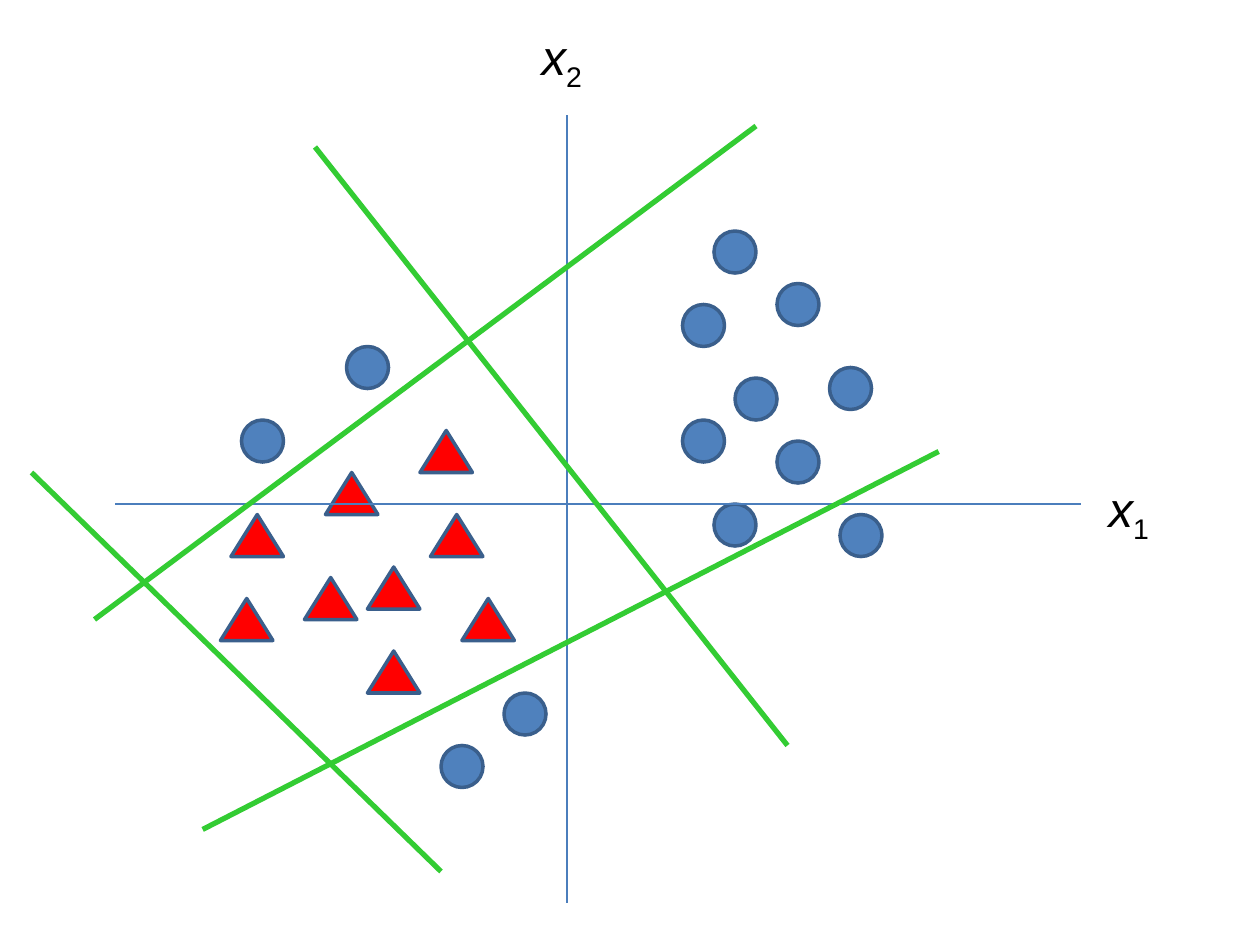
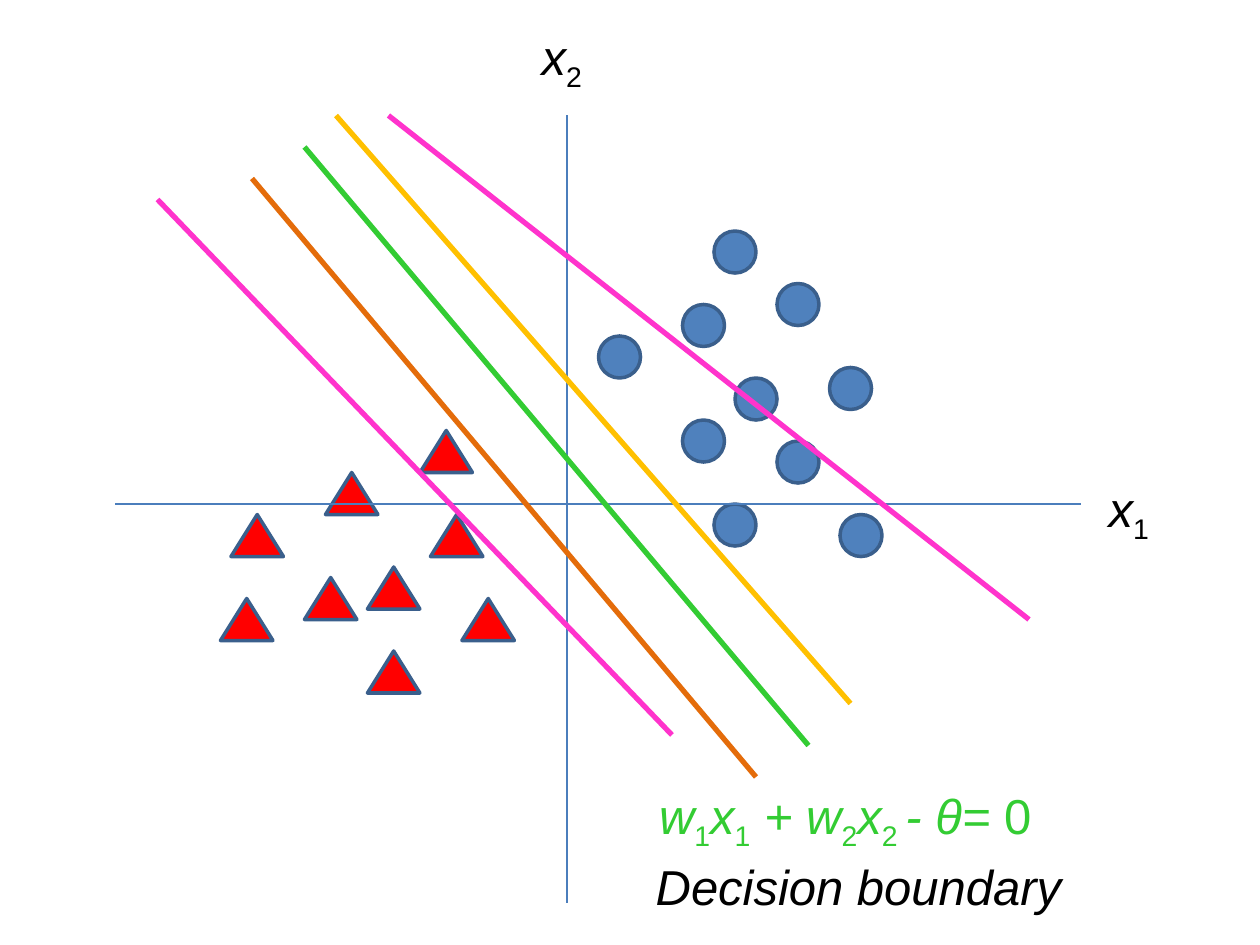
from lxml.etree import SubElement
from pptx import Presentation
from pptx.dml.color import RGBColor
from pptx.enum.shapes import MSO_CONNECTOR, MSO_SHAPE
from pptx.enum.text import MSO_AUTO_SIZE as AUTO, PP_ALIGN as ALIGN
from pptx.oxml.ns import qn
from pptx.util import Pt

PX = 7620
SLIDE_W, SLIDE_H = 1200, 900
PLOT = (110, 110, 920, 750)
CAPTION = (570, 742, 470, 136)
BLANK_LAYOUT = 6
FONT, FONT_SIZE = "Arial", 28
LABEL_H = 68

COLORS = {
    "dot": "4F81BD", "triangle": "FF0000", "outline": "3A5F8C",
    "axis": "4B7EBC", "text": "000000", "green": "33CC33",
    "pink": "FF33CC", "orange": "E46C0A", "yellow": "FFC000",
}

DOT_SIZE, TRIANGLE_SIZE = (40, 40), (50, 40)
DOTS = [(540, 180), (630, 160), (690, 380), (680, 240), (570, 370),
        (570, 110), (630, 310), (540, 290), (590, 250)]
TRIANGLES = [(180, 440), (240, 430), (330, 460), (290, 300), (110, 380),
             (300, 380), (200, 340), (100, 460), (240, 510)]
ENCLOSING_DOTS = [(120, 290), (310, 600), (370, 550), (220, 220)]
SEPARABLE_DOTS = [(460, 210)]

ENCLOSING_LINES = [
    ("green", (190, 30, 640, 600)),
    ("green", (610, 10, -20, 480)),
    ("green", (784, 320, 83, 680)),
    ("green", (-80, 340, 310, 720)),
]
DECISION_LINE = [("green", (180, 30, 660, 600))]
CANDIDATE_LINES = [
    ("pink", (260, 0, 870, 480)),
    ("pink", (40, 80, 530, 590)),
    ("orange", (130, 60, 610, 630)),
    ("yellow", (210, 0, 700, 560)),
]

EQUATION = [("w", "italic"), ("1", "sub"), ("x", "italic"), ("1", "sub"),
            (" + w", "italic"), ("2", "sub"), ("x", "italic"), ("2 ", "sub"),
            ("- θ= ", "italic"), ("0", "plain")]


def rgb(name):
    """Return the named colour."""
    return RGBColor.from_string(COLORS[name])


def px(*lengths):
    """Turn pixel lengths into EMU."""
    return [length * PX for length in lengths]


def add_line(shapes, box, ends, color, width):
    """Draw a straight line between two points of the box."""
    left, top = box[:2]
    x1, y1, x2, y2 = ends
    line = shapes.add_connector(
        MSO_CONNECTOR.STRAIGHT, *px(left + x1, top + y1, left + x2, top + y2))
    line.line.color.rgb = rgb(color)
    line.line.width = Pt(width)
    SubElement(line._element.spPr, qn("a:effectLst"))


def add_markers(shapes, box, kind, size, color, points):
    """Draw one marker at each point of the box."""
    for x, y in points:
        sp = shapes.add_shape(kind, *px(box[0] + x, box[1] + y, *size))
        sp.shadow.inherit = False
        sp.fill.solid()
        sp.fill.fore_color.rgb = rgb(color)
        sp.line.color.rgb = rgb("outline")
        sp.line.width = Pt(2)


def add_label(shapes, box, offset, width, runs, color="text", wrap=True):
    """Write one centred line of italic, plain and subscript runs."""
    x, y = offset
    sp = shapes.add_textbox(*px(box[0] + x, box[1] + y, width, LABEL_H))
    tf = sp.text_frame
    tf.word_wrap = wrap
    tf.auto_size = AUTO.SHAPE_TO_FIT_TEXT
    p = tf.paragraphs[0]
    p.alignment = ALIGN.CENTER
    p.font.name, p.font.size = FONT, Pt(FONT_SIZE)
    p.font.color.rgb = rgb(color)
    for text, style in runs:
        r = p.add_run()
        r.text = text
        r.font.italic = style == "italic"
        if style == "sub":
            r._r.get_or_add_rPr().set("baseline", "-25000")


def add_plot(slide, box, extra_dots):
    """Draw the two classes of points and the labelled axes as one group."""
    width, height = box[2:]
    shapes = slide.shapes.add_group_shape().shapes
    add_markers(shapes, box, MSO_SHAPE.OVAL, DOT_SIZE, "dot", DOTS + extra_dots)
    add_markers(shapes, box, MSO_SHAPE.ISOSCELES_TRIANGLE, TRIANGLE_SIZE,
                "triangle", TRIANGLES)
    for ends in ((0, 370, width, 370), (430, 0, 430, height)):
        add_line(shapes, box, ends, "axis", 0.75)
    for index, offset in (("1", (width + 10, 340)), ("2", (390, -91))):
        add_label(shapes, box, offset, 70, [("x", "italic"), (index, "sub")])


def add_boundaries(slide, box, lines):
    """Draw the separating lines over the plot."""
    for color, ends in lines:
        add_line(slide.shapes, box, ends, color, 3)


def add_caption(slide, box):
    """Write the boundary equation and its name."""
    add_label(slide.shapes, box, (0, 0), box[2], EQUATION, "green")
    add_label(slide.shapes, box, (40, LABEL_H), 415,
              [("Decision boundary", "italic")], wrap=False)


def add_enclosing_slide(prs):
    """Build the slide whose four lines enclose the triangles."""
    slide = prs.slides.add_slide(prs.slide_layouts[BLANK_LAYOUT])
    add_plot(slide, PLOT, ENCLOSING_DOTS)
    add_boundaries(slide, PLOT, ENCLOSING_LINES)


def add_separable_slide(prs):
    """Build the slide that compares candidate decision boundaries."""
    slide = prs.slides.add_slide(prs.slide_layouts[BLANK_LAYOUT])
    add_plot(slide, PLOT, SEPARABLE_DOTS)
    add_boundaries(slide, PLOT, DECISION_LINE)
    add_caption(slide, CAPTION)
    add_boundaries(slide, PLOT, CANDIDATE_LINES)


def main():
    """Build and save the presentation."""
    prs = Presentation()
    prs.slide_width, prs.slide_height = px(SLIDE_W, SLIDE_H)
    add_enclosing_slide(prs)
    add_separable_slide(prs)
    prs.save("out.pptx")


if __name__ == "__main__":
    main()
